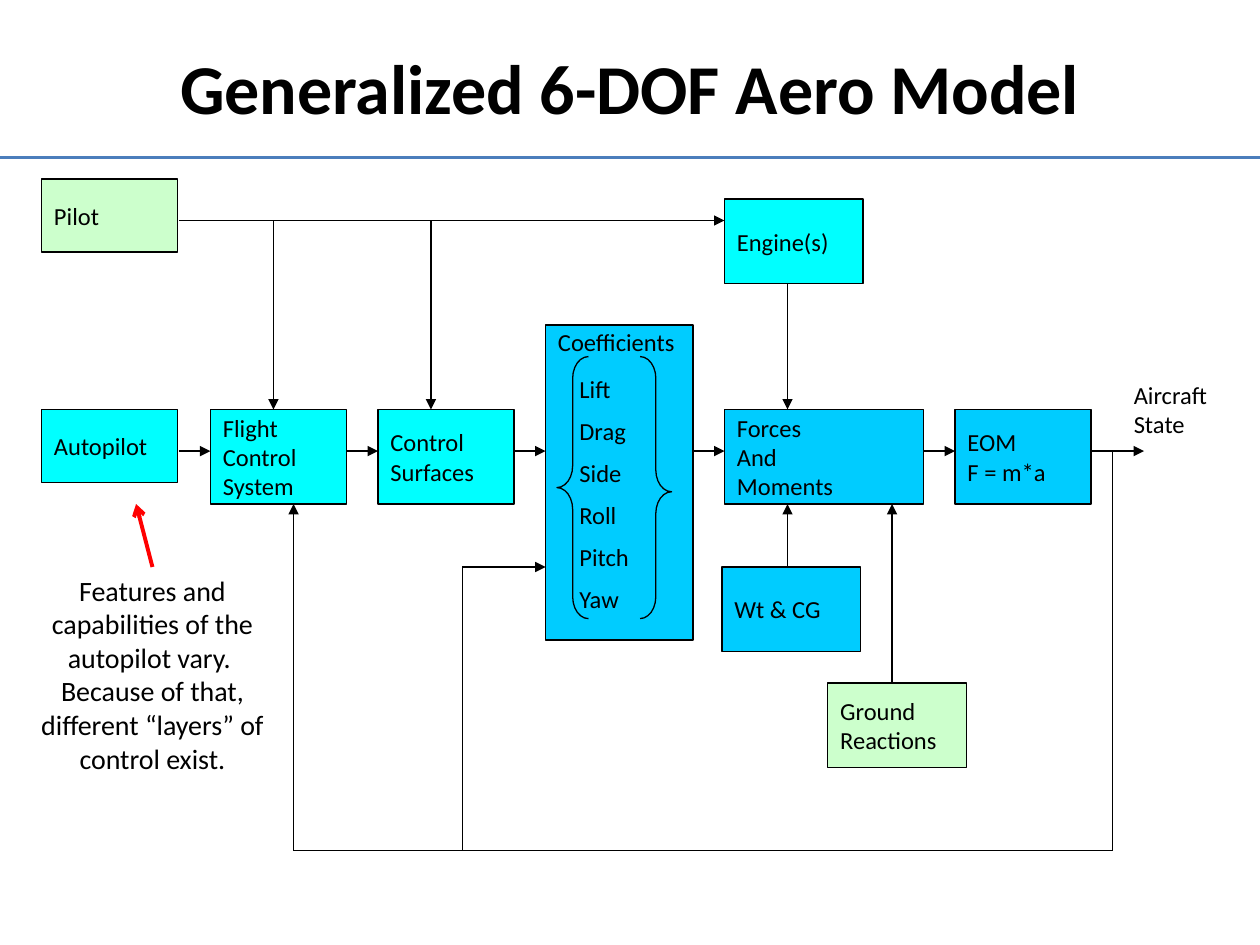
from lxml import etree
from pptx import Presentation
from pptx.dml.color import RGBColor
from pptx.enum import shapes, text
from pptx.oxml import ns
from pptx.util import Inches, Pt

BLACK = RGBColor(0x00, 0x00, 0x00)
RED = RGBColor(0xFF, 0x00, 0x00)
RULE_BLUE = RGBColor(0x4B, 0x7E, 0xBC)
CYAN = RGBColor(0x00, 0xFF, 0xFF)
SKY = RGBColor(0x00, 0xCC, 0xFF)
MINT = RGBColor(0xCC, 0xFF, 0xCC)

FONT = "Calibri"
ROW_TOP, FLOW_Y, ROW_BOTTOM = 3.25, 3.58, 4
PILOT_Y, FEEDBACK_Y = 1.75, 6.75

BLOCKS = [
    (["Pilot"], (0.33, 1.42, 1.08, 0.58), MINT),
    (["Engine(s)"], (5.75, 1.58, 1.1, 0.67), CYAN),
    (["Autopilot"], (0.33, ROW_TOP, 1.08, 0.58), CYAN),
    (["Flight", "Control", "System"], (1.67, ROW_TOP, 1.08, 0.75), CYAN),
    (["Control", "Surfaces"], (3, ROW_TOP, 1.08, 0.75), CYAN),
    (["Forces", "And", "Moments"], (5.75, ROW_TOP, 1.58, 0.75), SKY),
    (["EOM", "F = m*a"], (7.58, ROW_TOP, 1.08, 0.75), SKY),
    (["Wt & CG"], (5.73, 4.5, 1.1, 0.67), SKY),
    (["Ground", "Reactions"], (6.57, 5.42, 1.1, 0.67), MINT),
]
COEFFICIENTS = ["Lift", "Drag", "Side", "Roll", "Pitch", "Yaw"]

# Gaps between neighbouring blocks of the main row, then the output
FLOW_GAPS = [(1.42, 1.67), (2.75, 3), (4.08, 4.33), (5.5, 5.75), (7.33, 7.58), (8.67, 9.08)]
ARROWS = [((left, FLOW_Y), (right, FLOW_Y)) for left, right in FLOW_GAPS] + [
    ((1.42, PILOT_Y), (5.75, PILOT_Y)),
    ((2.17, PILOT_Y), (2.17, ROW_TOP)),
    ((3.42, PILOT_Y), (3.42, ROW_TOP)),
    ((6.25, 2.25), (6.25, ROW_TOP)),
    ((6.25, 4.5), (6.25, ROW_BOTTOM)),
    ((7.08, 5.42), (7.08, ROW_BOTTOM)),
    ((2.33, FEEDBACK_Y), (2.33, ROW_BOTTOM)),
    ((3.67, 4.5), (4.33, 4.5)),
]
FEEDBACK_LINES = [
    ((8.83, FLOW_Y), (8.83, FEEDBACK_Y)),
    ((8.83, FEEDBACK_Y), (2.33, FEEDBACK_Y)),
    ((3.67, FEEDBACK_Y), (3.67, 4.5)),
]


def inches(values):
    return [Inches(value) for value in values]


def write_lines(frame, lines, size=14, align=text.PP_ALIGN.LEFT, bold=False):
    """Put each line in a paragraph of its own."""
    for index, line in enumerate(lines):
        paragraph = frame.paragraphs[0] if index == 0 else frame.add_paragraph()
        paragraph.alignment = align
        run = paragraph.add_run()
        run.text = line
        run.font.name = FONT
        run.font.size = Pt(size)
        run.font.bold = bold
        run.font.color.rgb = BLACK


def write_label(shape, lines):
    frame = shape.text_frame
    frame.word_wrap = False
    frame.vertical_anchor = text.MSO_ANCHOR.MIDDLE
    write_lines(frame, lines)


def add_outlined(slide, kind, box, fill=None):
    shape = slide.shapes.add_shape(kind, *inches(box))
    shape.shadow.inherit = False
    if fill is None:
        shape.fill.background()
    else:
        shape.fill.solid()
        shape.fill.fore_color.rgb = fill
    shape.line.color.rgb = BLACK
    shape.line.width = Pt(0.75)
    return shape


def add_block(slide, lines, box, fill):
    write_label(add_outlined(slide, shapes.MSO_SHAPE.RECTANGLE, box, fill), lines)


def add_label(slide, lines, box):
    write_label(slide.shapes.add_textbox(*inches(box)), lines)


def add_line(slide, start, end, color=BLACK, width=0.75, arrowhead=None):
    connector = slide.shapes.add_connector(
        shapes.MSO_CONNECTOR.STRAIGHT, *inches(start + end))
    connector.line.color.rgb = color
    connector.line.width = Pt(width)
    if arrowhead:
        etree.SubElement(connector.line._get_or_add_ln(), ns.qn("a:tailEnd"), type=arrowhead)
    etree.SubElement(connector._element.spPr, ns.qn("a:effectLst"))


def add_title(slide, title):
    shape = slide.shapes.title
    shape.left, shape.top, shape.width, shape.height = inches((0.5, 0.3, 9, 0.78))
    shape.text_frame.vertical_anchor = text.MSO_ANCHOR.MIDDLE
    write_lines(shape.text_frame, [title], 40, text.PP_ALIGN.CENTER, bold=True)
    add_line(slide, (0, 1.25), (10, 1.25), RULE_BLUE, 2.25)


def add_coefficients(slide):
    add_outlined(slide, shapes.MSO_SHAPE.RECTANGLE, (4.33, 2.58, 1.17, 2.5), SKY)
    add_label(slide, ["Coefficients"], (4.33, 2.5, 1.17, 0.42))
    for kind, left, point in ((shapes.MSO_SHAPE.LEFT_BRACE, 4.42, 0.5),
                              (shapes.MSO_SHAPE.RIGHT_BRACE, 5.08, 0.516)):
        brace = add_outlined(slide, kind, (left, 2.83, 0.25, 2.08))
        brace.adjustments[0] = 0.69
        brace.adjustments[1] = point
    for index, name in enumerate(COEFFICIENTS):
        add_label(slide, [name], (4.5, 2.92 + index / 3, 0.75, 0.33))


def add_autopilot_note(slide):
    add_line(slide, (1.21, 4.5), (1.08, 4), RED, 2.25, "arrow")
    frame = slide.shapes.add_textbox(*inches((0.17, 4.5, 2.08, 1.72))).text_frame
    frame.word_wrap = True
    frame.auto_size = text.MSO_AUTO_SIZE.SHAPE_TO_FIT_TEXT
    note = ("Features and capabilities of the autopilot vary.  "
            "Because of that, different “layers” of control exist.")
    write_lines(frame, [note], 16, text.PP_ALIGN.CENTER)


def main():
    presentation = Presentation()
    presentation.slide_width, presentation.slide_height = Inches(10), Inches(7.5)
    slide = presentation.slides.add_slide(presentation.slide_layouts[5])

    add_title(slide, "Generalized 6-DOF Aero Model")
    add_coefficients(slide)
    for lines, box, fill in BLOCKS:
        add_block(slide, lines, box, fill)
    add_label(slide, ["Aircraft", "State"], (8.9, 3, 1.1, 0.5))
    for start, end in ARROWS:
        add_line(slide, start, end, arrowhead="triangle")
    for start, end in FEEDBACK_LINES:
        add_line(slide, start, end)
    add_autopilot_note(slide)

    presentation.save("out.pptx")


if __name__ == "__main__":
    main()
